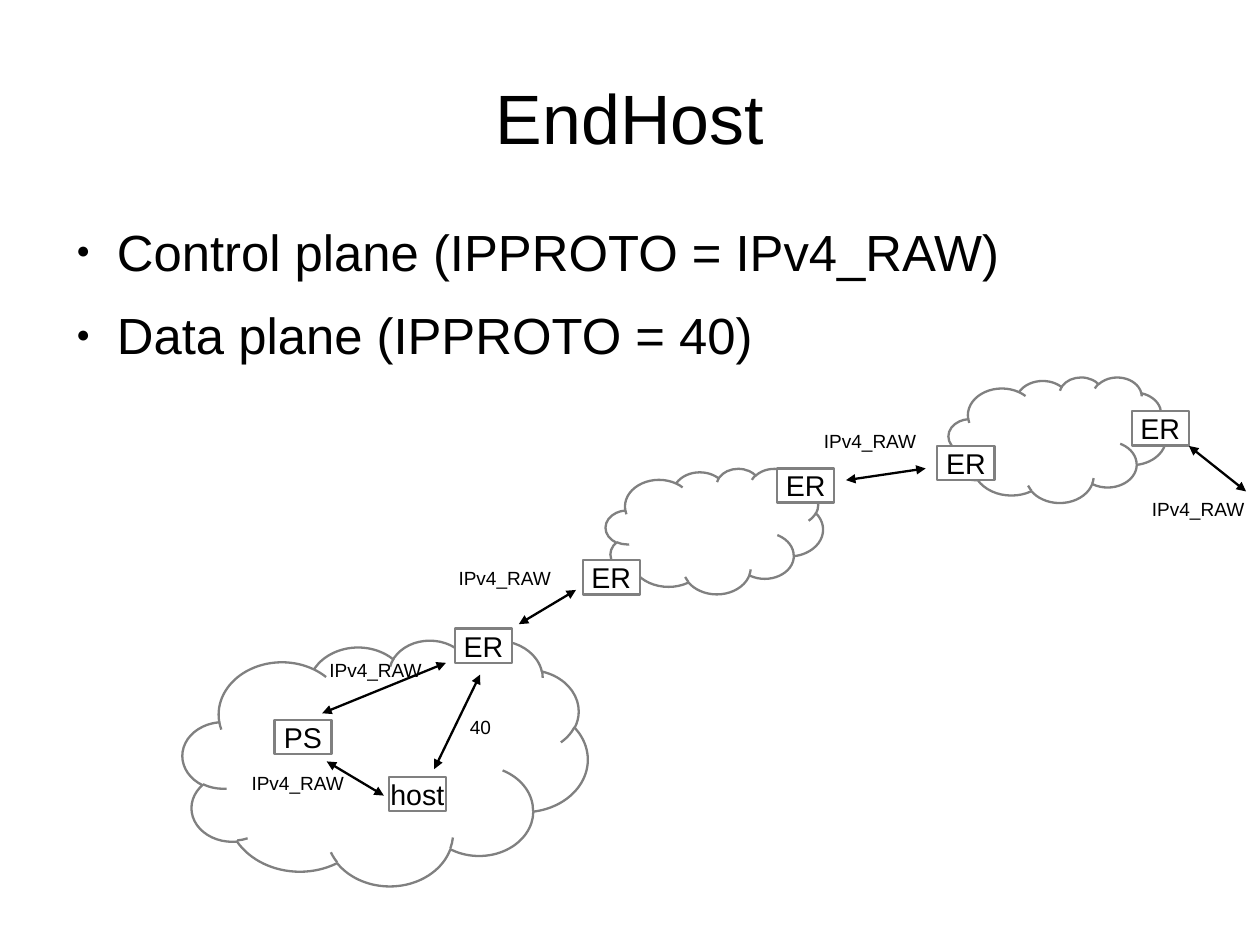
"""Build the EndHost slide: two bullets above a chain of linked network clouds."""
from lxml.etree import SubElement
from pptx import Presentation
from pptx.dml.color import RGBColor
from pptx.enum.shapes import MSO_CONNECTOR, MSO_SHAPE
from pptx.enum.text import MSO_ANCHOR, MSO_AUTO_SIZE, PP_ALIGN
from pptx.oxml.ns import qn
from pptx.util import Cm, Pt

TITLE = "EndHost"
BULLETS = ["Control plane (IPPROTO = IPv4_RAW)", "Data plane (IPPROTO = 40)"]
CLOUDS = [
    (13.46, 10.41, 4.83, 2.79),
    (4.06, 14.22, 9, 5.46),
    (21.08, 8.38, 4.83, 2.79),
]
NODES = [
    ("host", 8.64, 17.27),
    ("PS", 6.1, 16),
    ("ER", 10.11, 13.97),
    ("ER", 12.95, 12.45),
    ("ER", 17.27, 10.41),
    ("ER", 20.83, 9.91),
    ("ER", 25.15, 9.14),
]
LINKS = [
    (8.53, 17.68, 7.26, 16.92),
    (27.69, 10.92, 26.42, 9.91),
    (20.57, 10.41, 18.8, 10.67),
    (12.8, 13.11, 11.53, 13.87),
    (9.91, 14.73, 7.16, 15.85),
    (10.67, 14.99, 9.65, 17.09),
]
LABELS = [
    ("IPv4_RAW", 5.31, 16.99, 2.62),
    ("IPv4_RAW", 7.04, 14.48, 2.62),
    ("IPv4_RAW", 9.91, 12.45, 2.62),
    ("IPv4_RAW", 18.03, 9.4, 2.62),
    ("IPv4_RAW", 25.32, 10.9, 2.62),
    ("40", 10.16, 15.75, 1.02),
]
NODE_SIZE = (1.27, 0.76)
LABEL_HEIGHT = 0.79
LINE_WIDTH = Pt(1.45)
BLACK, GRAY, WHITE = "000000", "808080", "FFFFFF"


def color(value):
    return RGBColor.from_string(value)


def lengths(*values):
    return [Cm(value) for value in values]


def write(box, *lines, size, align=PP_ALIGN.LEFT, anchor=MSO_ANCHOR.TOP,
          inset=(0.28, 0.15), wrap=False, after=0):
    frame = box.text_frame
    frame.auto_size = MSO_AUTO_SIZE.NONE
    frame.word_wrap = wrap
    frame.vertical_anchor = anchor
    frame.margin_left = frame.margin_right = Cm(inset[0])
    frame.margin_top = frame.margin_bottom = Cm(inset[1])
    for index, line in enumerate(lines):
        para = frame.add_paragraph() if index else frame.paragraphs[0]
        para.alignment = align
        para.space_after = Pt(after)
        span = para.add_run()
        span.text = line
        span.font.name = "Arial"
        span.font.size = Pt(size)
        span.font.color.rgb = color(BLACK)


def add_bullet(para):
    properties = para._p.get_or_add_pPr()
    properties.set("marL", str(Cm(1.2)))
    properties.set("indent", str(-Cm(0.9)))
    fill = SubElement(properties, qn("a:buClr"))
    SubElement(fill, qn("a:srgbClr"), val=BLACK)
    SubElement(properties, qn("a:buSzPct"), val="45000")
    SubElement(properties, qn("a:buFont"), typeface="Arial")
    SubElement(properties, qn("a:buChar"), char="●")


def add_outlined(page, kind, *bounds):
    shape = page.shapes.add_shape(kind, *lengths(*bounds))
    shape.shadow.inherit = False
    shape.fill.solid()
    shape.fill.fore_color.rgb = color(WHITE)
    shape.line.color.rgb = color(GRAY)
    shape.line.width = LINE_WIDTH
    return shape


def add_link(page, *ends):
    link = page.shapes.add_connector(MSO_CONNECTOR.STRAIGHT, *lengths(*ends))
    link.line.color.rgb = color(BLACK)
    link.line.width = LINE_WIDTH
    for end in ("a:headEnd", "a:tailEnd"):
        SubElement(link.line._get_or_add_ln(), qn(end), type="triangle")
    SubElement(link._element.spPr, qn("a:effectLst"))


def main():
    deck = Presentation()
    deck.slide_width, deck.slide_height = lengths(28, 21)
    page = deck.slides.add_slide(deck.slide_layouts[5])

    title = page.shapes.title
    title.left, title.top, title.width, title.height = lengths(1.4, 0.84, 25.2, 3.51)
    write(title, TITLE, size=44, align=PP_ALIGN.CENTER, anchor=MSO_ANCHOR.MIDDLE,
          inset=(0, 0), wrap=True)

    body = page.shapes.add_textbox(*lengths(1.4, 4.9, 24.64, 12.17))
    write(body, *BULLETS, size=32, inset=(0, 0), wrap=True, after=14.2)
    for para in body.text_frame.paragraphs:
        add_bullet(para)

    for bounds in CLOUDS:
        add_outlined(page, MSO_SHAPE.CLOUD, *bounds)
    for name, left, top in NODES:
        node = add_outlined(page, MSO_SHAPE.RECTANGLE, left, top, *NODE_SIZE)
        write(node, name, size=18, align=PP_ALIGN.CENTER, anchor=MSO_ANCHOR.MIDDLE)
    for ends in LINKS:
        add_link(page, *ends)
    for text, left, top, width in LABELS:
        label = page.shapes.add_textbox(*lengths(left, top, width, LABEL_HEIGHT))
        write(label, text, size=12)

    deck.save("out.pptx")


if __name__ == "__main__":
    main()
